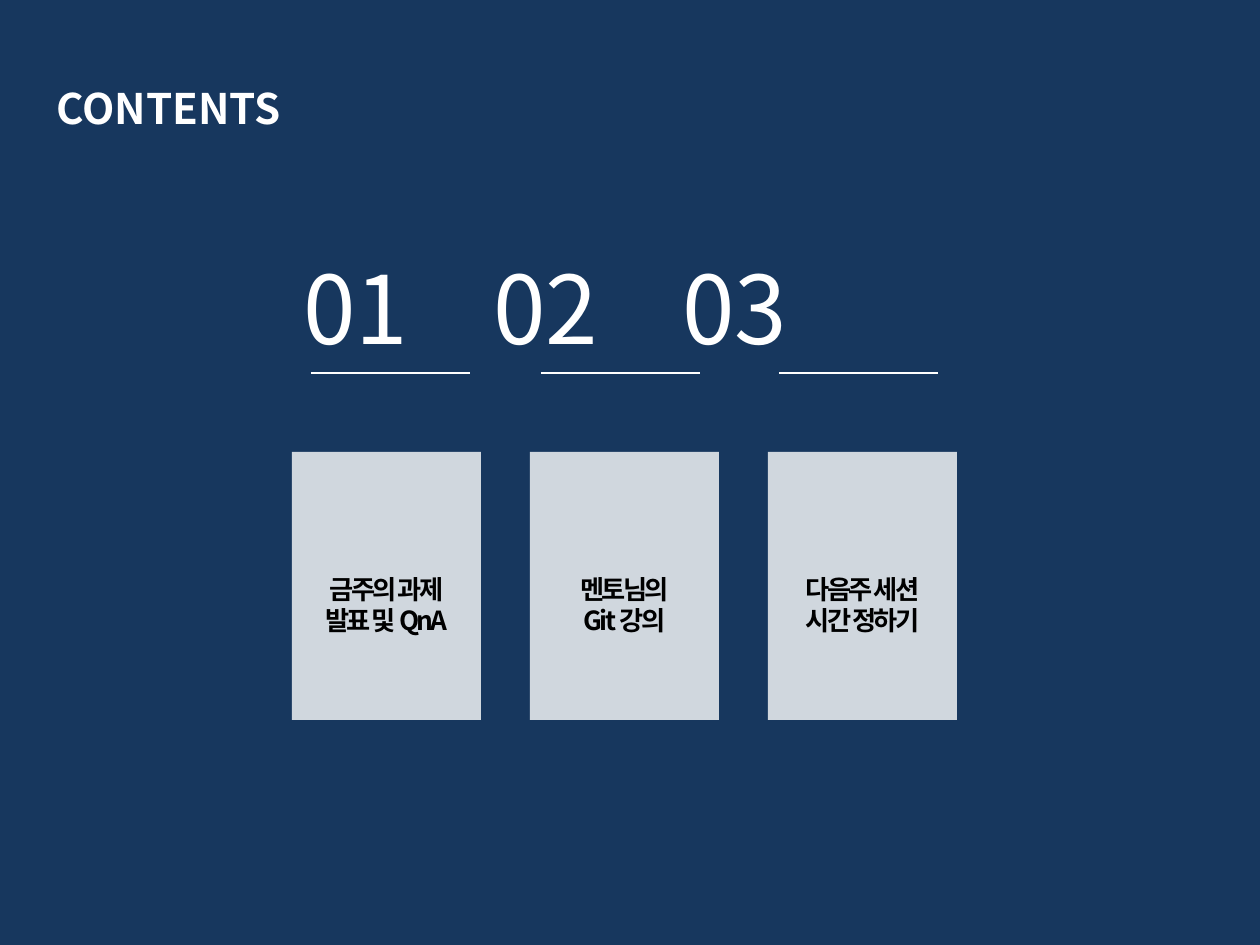
from lxml import etree
from pptx import Presentation
from pptx.dml.color import RGBColor
from pptx.enum import shapes, text
from pptx.oxml import ns
from pptx.util import Emu, Pt

PX = 914400 // 126
FONT = "Noto Sans CJK KR"
NAVY, WHITE, BLACK = "17375E", "FFFFFF", "000000"


def px(n):
    return Emu(n * PX)


def rgb(value):
    return RGBColor.from_string(value)


def sub(parent, tag, **attrs):
    return etree.SubElement(parent, ns.qn(tag), attrs)


def add_text(slide, box, lines, size, color=WHITE, bold=False,
             align=None, spacing=None, tabs=()):
    sp = slide.shapes.add_textbox(*map(px, box))
    tf = sp.text_frame
    tf.word_wrap = True
    tf.auto_size = text.MSO_AUTO_SIZE.SHAPE_TO_FIT_TEXT
    for i, line in enumerate(lines):
        p = tf.paragraphs[0] if i == 0 else tf.add_paragraph()
        p.alignment = align
        if tabs:
            tab_list = sub(p._p.get_or_add_pPr(), "a:tabLst")
            for pos in tabs:
                sub(tab_list, "a:tab", pos=str(px(pos)), algn="l")
        r = p.add_run()
        r.text = line
        r.font.name, r.font.size, r.font.bold = FONT, Pt(size), bold
        r.font.color.rgb = rgb(color)
        props = r.font._element
        sub(props, "a:ea", typeface=FONT)
        if spacing is not None:
            props.set("spc", str(int(spacing * 100)))


def add_card(slide, x, y, w, h):
    sp = slide.shapes.add_shape(shapes.MSO_SHAPE.RECTANGLE, *map(px, (x, y, w, h)))
    sp.shadow.inherit = False
    sp.fill.solid()
    sp.fill.fore_color.rgb = rgb(WHITE)
    sp.line.fill.background()
    # 80 % opacity
    color = sp._element.spPr.find(ns.qn("a:solidFill"))[0]
    sub(color, "a:alpha", val="80000")


def add_rule(slide, x, y, w):
    line = slide.shapes.add_connector(
        shapes.MSO_CONNECTOR.STRAIGHT, px(x), px(y), px(x + w), px(y))
    line.line.color.rgb = rgb(WHITE)
    line.line.width = Pt(0.75)
    sub(line._element.spPr, "a:effectLst")


def main():
    prs = Presentation()
    prs.slide_width, prs.slide_height = px(1260), px(945)
    slide = prs.slides.add_slide(prs.slide_layouts[6])
    slide.background.fill.solid()
    slide.background.fill.fore_color.rgb = rgb(NAVY)

    # Heading and section numbers
    add_text(slide, (44, 76, 576, 63), ["CONTENTS"], 24, bold=True)
    add_text(slide, (291, 244, 687, 127), ["01\t02\t03"], 54, tabs=(190, 379))

    # Rules under the numbers
    for x in (311, 541, 779):
        add_rule(slide, x, 373, 159)

    # Topic cards
    topics = [("금주의 과제", "발표 및 QnA"),
              ("멘토님의", "Git 강의"),
              ("다음주 세션", "시간 정하기")]
    for i, lines in enumerate(topics):
        x = 292 + i * 238
        add_card(slide, x, 452, 189, 268)
        add_text(slide, (x, 567, 189, 77), lines, 15, BLACK, bold=True,
                 align=text.PP_ALIGN.CENTER, spacing=-1.5)

    prs.save("out.pptx")


if __name__ == "__main__":
    main()
